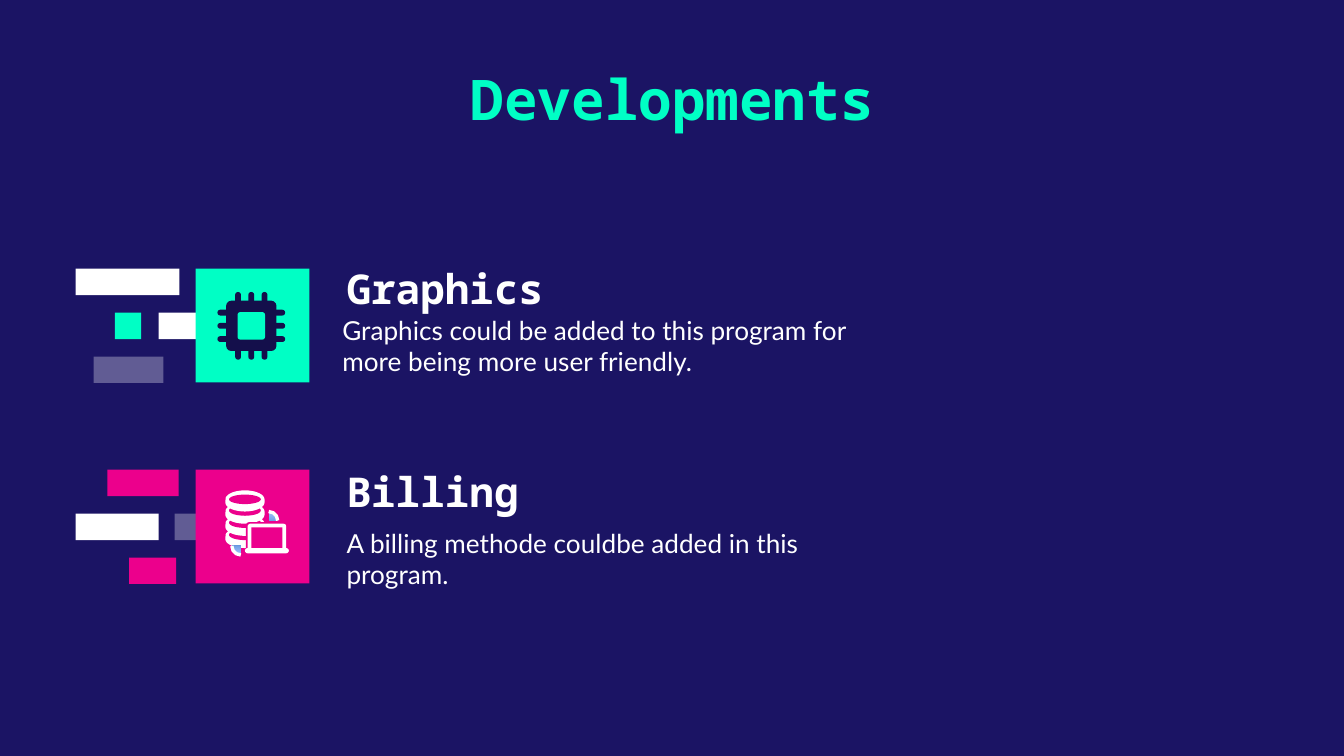
import math

import pptx
import pptx.dml.color
import pptx.enum.shapes
import pptx.enum.text
import pptx.oxml
import pptx.oxml.ns
import pptx.util

Cm = pptx.util.Cm
Pt = pptx.util.Pt
RGBColor = pptx.dml.color.RGBColor
SHAPE = pptx.enum.shapes.MSO_SHAPE
ANCHOR = pptx.enum.text.MSO_ANCHOR
ALIGN = pptx.enum.text.PP_ALIGN

NAVY = RGBColor(0x1B, 0x14, 0x64)
DARK_NAVY = RGBColor(0x14, 0x0F, 0x4B)
MINT = RGBColor(0x00, 0xFF, 0xC5)
PINK = RGBColor(0xEC, 0x00, 0x8C)
WHITE = RGBColor(0xFF, 0xFF, 0xFF)


class Deck:
    heading_font = "Noto Sans Mono"
    body_font = "Lato"

    def __init__(self):
        self.prs = pptx.Presentation()
        self.prs.slide_width, self.prs.slide_height = Cm(25.4), Cm(14.29)

    def add_slide(self):
        self.slide = self.prs.slides.add_slide(self.prs.slide_layouts[5])
        self.shapes = self.slide.shapes
        fill = self.slide.background.fill
        fill.solid()
        fill.fore_color.rgb = NAVY

    def start_group(self):
        """Send the shapes that follow into a new group."""
        self.shapes = self.slide.shapes.add_group_shape().shapes

    def end_group(self):
        self.shapes = self.slide.shapes

    def set_text(self, sp, text, size, font, color, bold, top_inset, bottom_inset):
        tf = sp.text_frame
        tf.word_wrap = True
        tf.auto_size = pptx.enum.text.MSO_AUTO_SIZE.NONE
        tf.margin_left = tf.margin_right = Cm(0.25)
        tf.margin_top, tf.margin_bottom = Cm(top_inset), Cm(bottom_inset)
        p = tf.paragraphs[0]
        p.text = text
        p.font.size, p.font.name, p.font.bold = Pt(size), font, bold
        p.font.color.rgb = color
        return tf

    def title(self, text, x, y, w, h):
        sp = self.slide.shapes.title
        sp.left, sp.top, sp.width, sp.height = Cm(x), Cm(y), Cm(w), Cm(h)
        tf = self.set_text(sp, text, 30, self.heading_font, MINT, True, 0.25, 0.25)
        tf.vertical_anchor = ANCHOR.TOP
        tf.paragraphs[0].alignment = ALIGN.CENTER

    def heading(self, text, x, y, w, h):
        sp = self.shapes.add_textbox(Cm(x), Cm(y), Cm(w), Cm(h))
        tf = self.set_text(sp, text, 22, self.heading_font, WHITE, True, 0, 0)
        tf.vertical_anchor = ANCHOR.BOTTOM

    def body(self, text, x, y, w, h):
        sp = self.shapes.add_textbox(Cm(x), Cm(y), Cm(w), Cm(h))
        self.set_text(sp, text, 14, self.body_font, WHITE, False, 0, 0.25)

    def paint(self, sp, color):
        sp.shadow.inherit = False
        sp.fill.solid()
        sp.fill.fore_color.rgb = color
        sp.line.fill.background()

    def shape(self, kind, x, y, w, h, color, opacity=100):
        sp = self.shapes.add_shape(kind, Cm(x), Cm(y), Cm(w), Cm(h))
        self.paint(sp, color)
        if opacity < 100:
            clr = sp.element.spPr.find(".//" + pptx.oxml.ns.qn("a:srgbClr"))
            alpha = pptx.oxml.parse_xml(
                f'<a:alpha {pptx.oxml.ns.nsdecls("a")} val="{opacity * 1000}"/>')
            clr.append(alpha)
        return sp

    def rounded(self, x, y, w, h, color, radius):
        """Rounded rectangle; radius is a share of the shorter side."""
        sp = self.shape(SHAPE.ROUNDED_RECTANGLE, x, y, w, h, color)
        sp.adjustments[0] = radius

    def arc(self, cx, cy, r, rotation):
        sp = self.shapes.add_shape(
            SHAPE.ARC, Cm(cx - r), Cm(cy - r), Cm(2 * r), Cm(2 * r))
        sp.shadow.inherit = False
        sp.rotation = rotation
        sp.line.color.rgb = WHITE
        sp.line.width = Pt(1.8)

    def disc(self, cx, cy, rx, ry, thickness, color):
        """Flat cylinder outline whose top ellipse is centred on cx, cy."""
        points = []
        for degrees in range(0, 361, 10):
            a = math.radians(degrees)
            drop = thickness if degrees <= 180 else 0
            points.append((Cm(cx + rx * math.cos(a)), Cm(cy + drop + ry * math.sin(a))))
        builder = self.shapes.build_freeform(*points[0])
        builder.add_line_segments(points[1:])
        self.paint(builder.convert_to_shape(), color)


def tile_with_bars(deck, top, color, bars):
    """Square tile with loose bars on three rows at its left."""
    for row, x, w, bar_color, opacity in bars:
        deck.shape(SHAPE.RECTANGLE, x, top + 0.83 * row, w, 0.5, bar_color, opacity)
    deck.shape(SHAPE.RECTANGLE, 3.7, top, 2.15, 2.15, color)


def chip_icon(deck, cx, cy):
    length, width = 1.28, 0.11
    deck.start_group()
    for offset in (-0.25, 0, 0.25):
        deck.rounded(cx + offset - width / 2, cy - length / 2, width, length, DARK_NAVY, 0.5)
        deck.rounded(cx - length / 2, cy + offset - width / 2, length, width, DARK_NAVY, 0.5)
    for side, color in ((0.95, DARK_NAVY), (0.52, MINT)):
        deck.rounded(cx - side / 2, cy - side / 2, side, side, color, 0.1)
    deck.end_group()


def database_icon(deck, cx, cy):
    """Stack of four discs, centred at the top on cx, cy, with a laptop in front."""
    deck.start_group()
    for tier in (3, 2, 1, 0):
        y = cy + 0.23 * tier
        if tier < 3:
            deck.disc(cx, y + 0.21, 0.3, 0.1, 0, PINK)
        deck.disc(cx, y, 0.37, 0.17, 0.06, WHITE)
    deck.disc(cx, cy, 0.3, 0.09, 0, PINK)
    deck.arc(cx + 0.45, cy + 0.4, 0.17, 0)
    deck.arc(cx - 0.08, cy + 0.88, 0.17, 180)
    deck.rounded(cx + 0.02, cy + 0.43, 0.81, 0.62, PINK, 0.1)
    deck.rounded(cx + 0.05, cy + 0.46, 0.73, 0.52, WHITE, 0.1)
    deck.shape(SHAPE.RECTANGLE, cx + 0.12, cy + 0.53, 0.59, 0.39, PINK)
    deck.rounded(cx, cy + 0.92, 0.83, 0.1, WHITE, 0.5)
    deck.end_group()


def main():
    deck = Deck()
    deck.add_slide()
    deck.title("Developments", 3.56, 0.97, 18.29, 1.85)

    tile_with_bars(deck, 5.08, MINT, [
        (0, 1.43, 1.96, WHITE, 100),
        (1, 2.17, 0.5, MINT, 100),
        (1, 3, 0.9, WHITE, 100),
        (2, 1.77, 1.32, WHITE, 31),
    ])
    chip_icon(deck, 4.75, 6.16)
    deck.heading("Graphics", 6.3, 4.93, 6.02, 0.99)
    deck.body("Graphics could be added to this program for more being more user friendly.",
              6.22, 5.94, 11.23, 1.14)

    tile_with_bars(deck, 8.88, PINK, [
        (0, 2.03, 1.35, PINK, 100),
        (1, 1.43, 1.57, WHITE, 100),
        (1, 3.3, 0.6, WHITE, 31),
        (2, 2.44, 0.89, PINK, 100),
    ])
    database_icon(deck, 4.63, 9.44)
    deck.heading("Billing", 6.3, 8.76, 6.02, 0.99)
    deck.body("A billing methode couldbe added in this program.", 6.3, 9.96, 10.9, 1.14)

    deck.prs.save("out.pptx")


if __name__ == "__main__":
    main()
